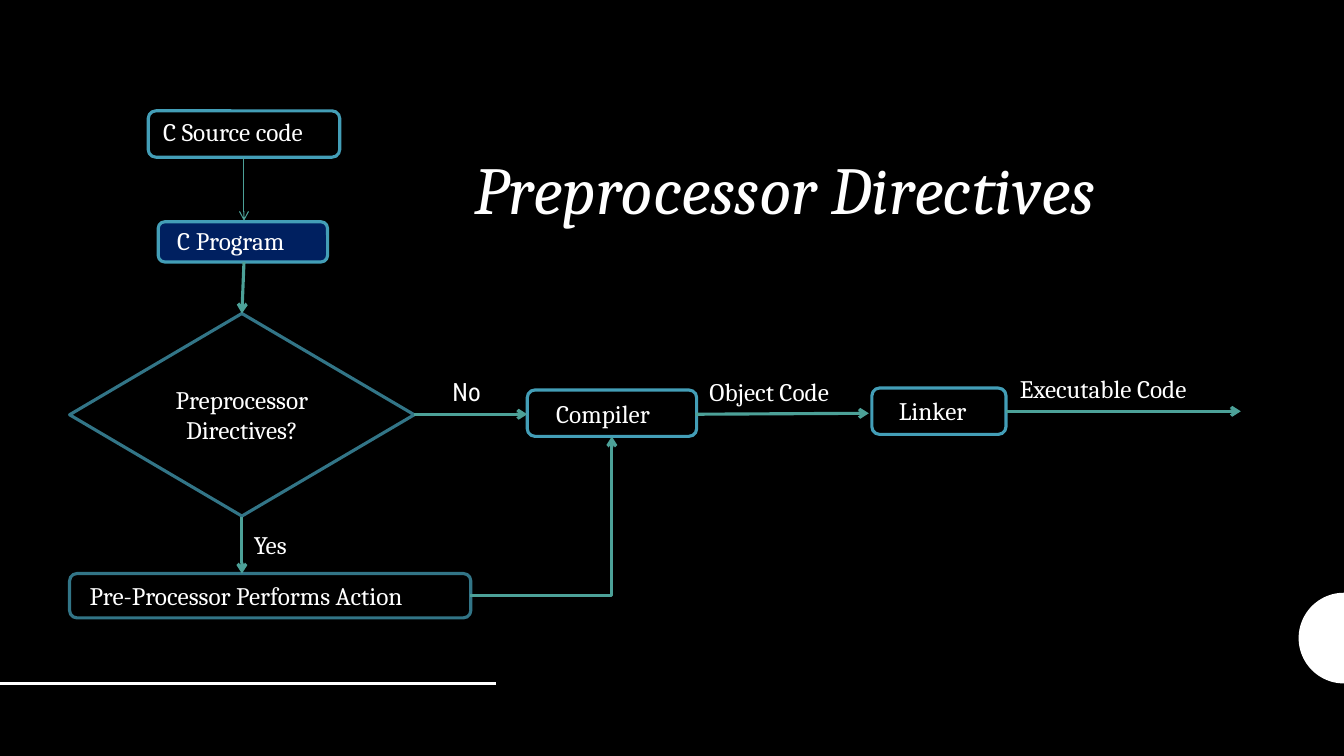
import math
from collections import namedtuple

from lxml import etree
from pptx import Presentation
from pptx import util as u
from pptx.dml.color import RGBColor
from pptx.enum import shapes, text
from pptx.oxml.ns import qn

Box = namedtuple("Box", "left top width height")
WHITE, BLACK, NAVY = "FFFFFF", "000000", "002060"
TEAL, BLUE, DARK_BLUE = "4CA198", "439EB7", "327587"
SERIF, SANS = "Cambria", "Roboto Condensed"
ROUNDED = shapes.MSO_SHAPE.ROUNDED_RECTANGLE
LABEL_HEIGHT = 28.8


def color(hex_code):
    """Turn a hex string into a colour."""
    return RGBColor.from_string(hex_code)


def inside(box, left, top, width, height):
    """Give a box placed relative to another one, as lengths."""
    return [u.Pt(n) for n in (box.left + left, box.top + top, width, height)]


def write(frame, wording, size=18, font=SERIF, italic=False):
    """Write one white run into a text frame and return its paragraph."""
    frame.word_wrap = True
    paragraph = frame.paragraphs[0]
    run = paragraph.add_run()
    run.text = wording
    run.font.size = u.Pt(size)
    run.font.name = font
    run.font.italic = italic
    run.font.color.rgb = color(WHITE)
    return paragraph


def add_label(slide, box, left, top, width, wording, font=SERIF):
    """Add a one-line label."""
    label = slide.shapes.add_textbox(*inside(box, left, top, width, LABEL_HEIGHT))
    write(label.text_frame, wording, font=font)


def add_step(slide, box, kind, place, outline, fill=None):
    """Add an outlined flowchart step."""
    step = slide.shapes.add_shape(kind, *inside(box, *place))
    step.shadow.inherit = False
    step.line.color.rgb = color(outline)
    step.line.width = u.Pt(2.25)
    if fill:
        step.fill.solid()
        step.fill.fore_color.rgb = color(fill)
    else:
        step.fill.background()
    return step


def add_line(slide, box, start, end, stroke=TEAL, weight=2.25, arrow=True, bent=False):
    """Add a straight or bent line, with an arrowhead at its end if wanted."""
    kind = shapes.MSO_CONNECTOR.ELBOW if bent else shapes.MSO_CONNECTOR.STRAIGHT
    ends = inside(box, *start, 0, 0)[:2] + inside(box, *end, 0, 0)[:2]
    line = slide.shapes.add_connector(kind, *ends)
    line.line.color.rgb = color(stroke)
    line.line.width = u.Pt(weight)
    properties = line._element.spPr
    if bent:
        properties.find(qn("a:prstGeom")).set("prst", "bentConnector2")
    if arrow:
        etree.SubElement(properties.find(qn("a:ln")), qn("a:tailEnd"), type="arrow")
    etree.SubElement(properties, qn("a:effectLst"))


def draw_frame(slide, box):
    """Draw the background, the half disc at the right and the bottom rule."""
    slide.background.fill.solid()
    slide.background.fill.fore_color.rgb = color(BLACK)
    radius, center_y, steps = 32.4, box.top + 455.8, 48
    angles = [math.pi * (0.5 + i / steps) for i in range(steps + 1)]
    rim = [(u.Pt(box.left + box.width + radius * math.cos(a)),
            u.Pt(center_y + radius * math.sin(a))) for a in angles]
    outline = slide.shapes.build_freeform(*rim[0])
    outline.add_line_segments(rim[1:], close=True)
    half_disc = outline.convert_to_shape()
    half_disc.shadow.inherit = False
    half_disc.fill.solid()
    half_disc.fill.fore_color.rgb = color(WHITE)
    half_disc.line.fill.background()
    add_line(slide, box, (0, 488.2), (354.3, 488.2), WHITE, 2, arrow=False)


def draw_title(slide, box):
    """Write the slide title."""
    title = slide.shapes.add_textbox(*inside(box, 0, 0, box.width, box.height))
    title.text_frame.vertical_anchor = text.MSO_ANCHOR.MIDDLE
    heading = write(title.text_frame, "Preprocessor Directives", 48, italic=True)
    heading.line_spacing = 0.9


def draw_preprocessing(slide, box):
    """Draw the column from source code to the preprocessor's action."""
    add_step(slide, box, ROUNDED, (56.2, 0, 136.8, 33.1), BLUE)
    add_step(slide, box, ROUNDED, (63.3, 79.2, 121, 28.8), BLUE, NAVY)
    decision = add_step(slide, box, shapes.MSO_SHAPE.DIAMOND,
                        (0, 144.7, 246.2, 144.7), DARK_BLUE)
    decision.text_frame.vertical_anchor = text.MSO_ANCHOR.MIDDLE
    question = write(decision.text_frame, "Preprocessor Directives?")
    question.alignment = text.PP_ALIGN.CENTER
    add_step(slide, box, ROUNDED, (0, 330.5, box.width, 31.7), DARK_BLUE)
    for label in ((59.8, 0.7, 136.8, "C Source code"),
                  (69.8, 78.5, 109.4, "C Program"),
                  (124.6, 295.2, 46.8, "Yes"),
                  (7.2, 331.9, 287.3, "Pre-Processor Performs Action")):
        add_label(slide, box, *label)
    add_line(slide, box, (124.6, 33.1), (124.6, 78.5), weight=0.75)
    add_line(slide, box, (124.6, 108), (123.1, 144.7))
    add_line(slide, box, (123.1, 290.4), (123.1, 330.5))


def draw_build(slide, box):
    """Draw the row from the decision through compiler and linker."""
    add_step(slide, box, ROUNDED, (80.7, 15.8, 121, 33.1), BLUE)
    add_step(slide, box, ROUNDED, (326.9, 14.4, 95.8, 33.1), BLUE)
    for label in ((20.2, 2.2, 41, "No", SANS),
                  (94.3, 18, 93.6, "Compiler"),
                  (203.8, 2.2, 123.1, "Object Code"),
                  (339.1, 15.8, 79.2, "Linker"),
                  (425.5, 0, 165.6, "Executable Code")):
        add_label(slide, box, *label)
    add_line(slide, box, (0, 33.1), (80.7, 33.1))
    add_line(slide, box, (200.9, 33.1), (324.7, 32.4))
    add_line(slide, box, (422.7, 31), (box.width, 31))
    add_line(slide, box, (39.6, 162.7), (141.1, 49), bent=True)


def main():
    """Build and save the slide."""
    deck = Presentation()
    deck.slide_width, deck.slide_height = u.Pt(960), u.Pt(540)
    slide = deck.slides.add_slide(deck.slide_layouts[6])
    draw_frame(slide, Box(0, 0, 960, 540))
    draw_title(slide, Box(332, 93.6, 523.4, 87.8))
    draw_preprocessing(slide, Box(49.7, 79.2, 286.6, 362.2))
    draw_build(slide, Box(295.9, 262.8, 590.4, 162.7))
    deck.save("out.pptx")


if __name__ == "__main__":
    main()
